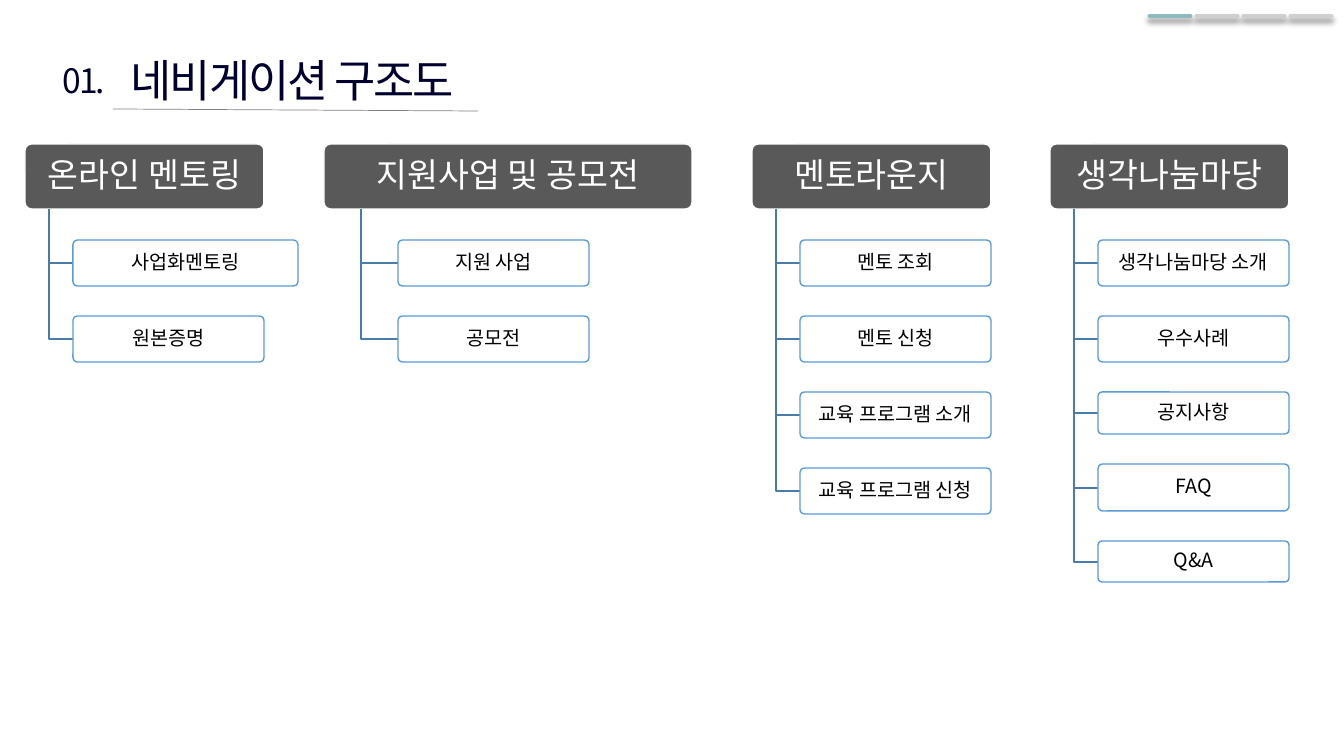
from lxml import etree
from pptx import Presentation
from pptx.dml.color import RGBColor
from pptx.enum.shapes import MSO_CONNECTOR, MSO_SHAPE
from pptx.enum.text import MSO_ANCHOR, PP_ALIGN
from pptx.oxml import parse_xml
from pptx.oxml.ns import qn
from pptx.util import Pt

LINE = MSO_CONNECTOR.STRAIGHT
ROUND_RECT = MSO_SHAPE.ROUNDED_RECTANGLE
MIDDLE = MSO_ANCHOR.MIDDLE
CENTER = PP_ALIGN.CENTER

PX = 12192000 / 1344
FONT = "Noto Sans CJK KR"
COLORS = {name: RGBColor.from_string(value) for name, value in {
    "title": "00002F", "rule": "808080", "active": "8DBABD", "idle": "D0CECE",
    "header": "595959", "branch": "497CAB", "border": "5B9BD5",
    "white": "FFFFFF", "black": "000000",
}.items()}
A = "http://schemas.openxmlformats.org/drawingml/2006/main"
SHADOW = (f'<a:effectLst xmlns:a="{A}">'
          '<a:outerShdw blurRad="50800" dist="38100" dir="5400000" algn="t" rotWithShape="0">'
          '<a:srgbClr val="000000"><a:alpha val="40000"/></a:srgbClr>'
          '</a:outerShdw></a:effectLst>')


def set_text(tf, text, size, color, spacing=0):
    tf.text = text
    p = tf.paragraphs[0]
    p.alignment = CENTER
    r = p.runs[0]
    r.font.size = Pt(size)
    r.font.color.rgb = COLORS[color]
    r.font.name = FONT
    rPr = r._r.get_or_add_rPr()
    etree.SubElement(rPr, qn("a:ea")).set("typeface", FONT)
    if spacing:
        rPr.set("spc", str(spacing))


def add_box(x, y, w, h, text, size, fill, border, color, pad_x, pad_y):
    sp = s.shapes.add_shape(ROUND_RECT, *(round(v * PX) for v in (x, y, w, h)))
    sp.adjustments[0] = 0.1
    sp.shadow.inherit = False
    sp.fill.solid()
    sp.fill.fore_color.rgb = COLORS[fill]
    sp.line.color.rgb = COLORS[border]
    sp.line.width = Pt(1)
    tf = sp.text_frame
    tf.word_wrap = True
    tf.vertical_anchor = MIDDLE
    tf.margin_left = tf.margin_right = round(pad_x * PX)
    tf.margin_top = tf.margin_bottom = round(pad_y * PX)
    set_text(tf, text, size, color)
    tf.paragraphs[0].line_spacing = 0.9
    return sp


prs = Presentation()
prs.slide_width = round(1344 * PX)
prs.slide_height = round(756 * PX)
s = prs.slides.add_slide(prs.slide_layouts[6])

rule = s.shapes.add_connector(LINE, *(round(v * PX) for v in (113, 109, 478, 111)))
rule.line.color.rgb = COLORS["rule"]
rule.line.width = Pt(0.5)
etree.SubElement(rule._element.spPr, qn("a:effectLst"))

for x, y, w, h, text, size in [
    (103, 48, 379, 65, "네비게이션 구조도", 32),
    (50, 55, 68, 50, "01.", 24),
]:
    tb = s.shapes.add_textbox(*(round(v * PX) for v in (x, y, w, h)))
    tb.text_frame.word_wrap = False
    set_text(tb.text_frame, text, size, "title", -150)

for i, color in enumerate(["active", "idle", "idle", "idle"]):
    x = 1150 + 47 * i
    bar = s.shapes.add_connector(LINE, *(round(v * PX) for v in (x, 16, x + 40, 16)))
    bar.line.color.rgb = COLORS[color]
    bar.line.width = Pt(3.5)
    bar.line._get_or_add_ln().set("cap", "rnd")
    bar._element.spPr.append(parse_xml(SHADOW))

HEADER_TOP, HEADER_H = 144, 65
HEADER_BOTTOM = HEADER_TOP + HEADER_H
FIRST_ITEM, GAP = 240, 30
ITEM_W, ITEM_H = 191, 46

columns = [
    (25, 239, 24, "온라인 멘토링", [("사업화멘토링", 225, ITEM_H), ("원본증명", ITEM_W, ITEM_H)]),
    (324, 368, 37, "지원사업 및 공모전", [("지원 사업", ITEM_W, ITEM_H), ("공모전", ITEM_W, ITEM_H)]),
    (752, 239, 24, "멘토라운지", [
        ("멘토 조회", ITEM_W, ITEM_H), ("멘토 신청", ITEM_W, ITEM_H),
        ("교육 프로그램 소개", ITEM_W, ITEM_H), ("교육 프로그램 신청", ITEM_W, ITEM_H)]),
    (1050, 239, 24, "생각나눔마당", [
        ("생각나눔마당 소개", ITEM_W, ITEM_H), ("우수사례", ITEM_W, ITEM_H),
        ("공지사항", ITEM_W, 42), ("FAQ", ITEM_W, 47), ("Q&A", ITEM_W, 41)]),
]

for x, w, indent, heading, items in columns:
    add_box(x, HEADER_TOP, w, HEADER_H, heading, 24, "header", "white", "white", 7, 5)
    trunk = x + indent
    left = trunk + indent
    top = FIRST_ITEM
    for text, item_w, item_h in items:
        mid = top + item_h / 2
        path_builder = s.shapes.build_freeform(trunk, HEADER_BOTTOM, scale=PX)
        path_builder.add_line_segments([(trunk, mid), (left, mid)], close=False)
        branch = path_builder.convert_to_shape()
        branch.shadow.inherit = False
        branch.fill.background()
        branch.line.color.rgb = COLORS["branch"]
        branch.line.width = Pt(1)
        item = add_box(left, top, item_w, item_h, text, 14, "white", "border", "black", 5, 4)
        fill_color = item._element.spPr.find(qn("a:solidFill")).find(qn("a:srgbClr"))
        etree.SubElement(fill_color, qn("a:alpha")).set("val", "90000")
        top += item_h + GAP

prs.save("out.pptx")
